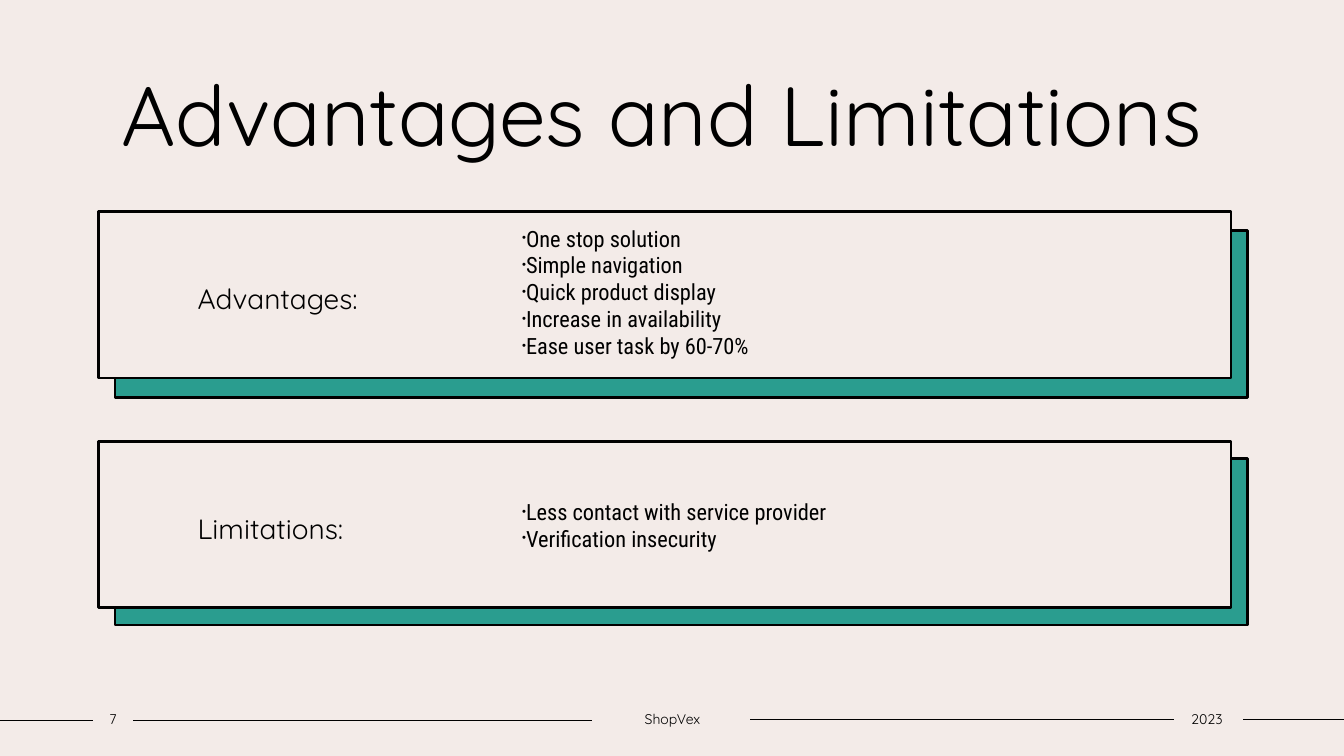
import pptx
import pptx.util
import pptx.dml.color
import pptx.enum.shapes
import pptx.enum.text
import pptx.oxml.ns
from lxml import etree
from dataclasses import dataclass

Inches = pptx.util.Inches
Pt = pptx.util.Pt
ALIGN = pptx.enum.text.PP_ALIGN

# Content
TITLE = "Advantages and Limitations"
# heading, points, card top, shadow top, list top
CARDS = [
    ("Advantages:",
     ["One stop solution", "Simple navigation", "Quick product display",
      "Increase in availability", "Ease user task by 60-70%"],
     2.1, 2.29, 2.17),
    ("Limitations:",
     ["Less contact with service provider", "Verification insecurity"],
     4.38, 4.55, 4.48),
]
# text, left, width
FOOTER = [("7", 0.92, 0.4), ("ShopVex", 5.87, 1.6), ("2023", 11.62, 0.7)]
# start, end, height on the page
RULES = [(0, 0.92, 7.15), (1.32, 5.87, 7.15), (7.44, 11.64, 7.14), (12.33, 13.33, 7.14)]


@dataclass(frozen=True)
class Theme:
    paper: str = "F3EBE8"
    accent: str = "2A9D8F"
    ink: str = "000000"
    display: str = "Quicksand"
    body: str = "Roboto Condensed"
    title_size: int = 60
    heading_size: int = 20
    point_size: int = 16
    footer_size: int = 10


THEME = Theme()
CARD_LEFT, SHADOW_LEFT, CARD_WIDTH, CARD_HEIGHT = 0.98, 1.14, 11.23, 1.65
LIST_LEFT, LIST_WIDTH, LIST_HEIGHT = 5.08, 7.01, 1.45


def color(value):
    return pptx.dml.color.RGBColor.from_string(value)


def set_frame(shape, insets=(0.1, 0.05, 0.1, 0.05)):
    frame = shape.text_frame
    frame.word_wrap = True
    frame.vertical_anchor = pptx.enum.text.MSO_ANCHOR.MIDDLE
    (frame.margin_left, frame.margin_top,
     frame.margin_right, frame.margin_bottom) = map(Inches, insets)
    return frame


def add_span(para, text, font, size, align=ALIGN.LEFT):
    para.alignment = align
    span = para.add_run()
    span.text = text
    span.font.name = font
    span.font.size = Pt(size)
    span.font.color.rgb = color(THEME.ink)


def add_text(page, area, text, font, size, insets):
    box = page.shapes.add_textbox(*map(Inches, area))
    para = set_frame(box, insets).paragraphs[0]
    add_span(para, text, font, size, ALIGN.CENTER)


def add_panel(page, left, top, fill):
    panel = page.shapes.add_shape(
        pptx.enum.shapes.MSO_SHAPE.RECTANGLE,
        *map(Inches, (left, top, CARD_WIDTH, CARD_HEIGHT)))
    panel.shadow.inherit = False
    panel.fill.solid()
    panel.fill.fore_color.rgb = color(fill)
    panel.line.color.rgb = color(THEME.ink)
    panel.line.width = Pt(2)
    return panel


def add_bullet(para):
    props = para._p.get_or_add_pPr()
    props.set("marL", "0")
    props.set("indent", str(Inches(-0.15)))
    for tag, name, value in (("a:buSzPct", "val", "50000"),
                             ("a:buFont", "typeface", "Arial"),
                             ("a:buChar", "char", "•")):
        etree.SubElement(props, pptx.oxml.ns.qn(tag)).set(name, value)


def add_points(page, points, top):
    box = page.shapes.add_textbox(
        *map(Inches, (LIST_LEFT, top, LIST_WIDTH, LIST_HEIGHT)))
    frame = set_frame(box)
    for index, point in enumerate(points):
        para = frame.add_paragraph() if index else frame.paragraphs[0]
        add_bullet(para)
        add_span(para, point, THEME.body, THEME.point_size)


def add_rule(page, start, end, height):
    rule = page.shapes.add_connector(
        pptx.enum.shapes.MSO_CONNECTOR.STRAIGHT,
        *map(Inches, (start, height, end, height)))
    rule.line.color.rgb = color(THEME.ink)
    rule.line.width = Pt(1)
    etree.SubElement(rule._element.spPr, pptx.oxml.ns.qn("a:effectLst"))


def main():
    deck = pptx.Presentation()
    deck.slide_width, deck.slide_height = Inches(13.33), Inches(7.5)
    page = deck.slides.add_slide(deck.slide_layouts[6])
    page.background.fill.solid()
    page.background.fill.fore_color.rgb = color(THEME.paper)

    # Title
    add_text(page, (0, 0.56, 13.12, 1.11), TITLE, THEME.display,
             THEME.title_size, (0.1, 0.05, 0.1, 0.05))

    # Cards with offset backing panels
    for heading, points, card_top, shadow_top, list_top in CARDS:
        add_panel(page, SHADOW_LEFT, shadow_top, THEME.accent)
        card = add_panel(page, CARD_LEFT, card_top, THEME.paper)
        para = set_frame(card, (0.98, 0.05, 7.1, 0.05)).paragraphs[0]
        para.line_spacing = 1.2
        add_span(para, heading, THEME.display, THEME.heading_size)
        add_points(page, points, list_top)

    # Footer
    for start, end, height in RULES:
        add_rule(page, start, end, height)
    for text, left, width in FOOTER:
        add_text(page, (left, 7, width, 0.27), text, THEME.display,
                 THEME.footer_size, (0, 0.05, 0, 0.05))

    deck.save("out.pptx")


if __name__ == "__main__":
    main()
